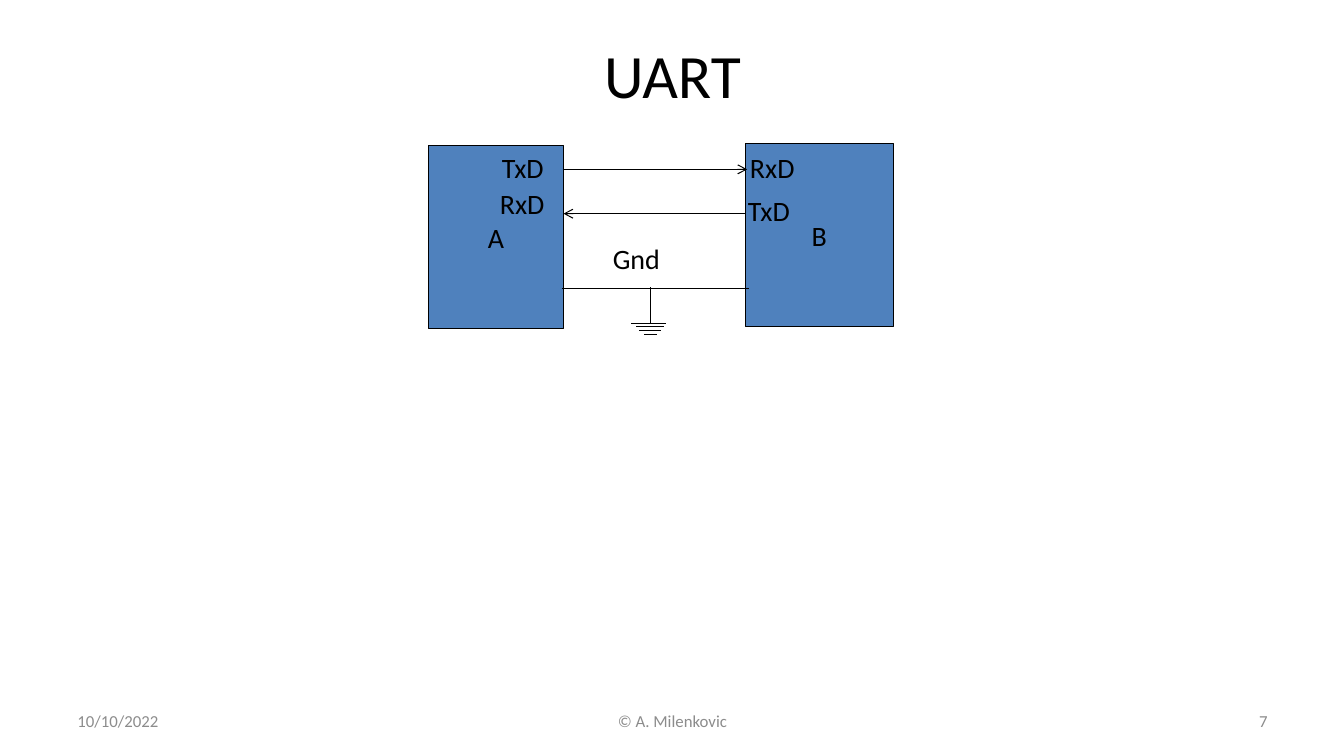
from dataclasses import dataclass

from lxml import etree
from pptx import Presentation
from pptx.dml.color import RGBColor
from pptx.enum.shapes import MSO_CONNECTOR, MSO_SHAPE
from pptx.enum.text import MSO_ANCHOR, PP_ALIGN
from pptx.oxml.ns import qn
from pptx.slide import Slide
from pptx.text.text import TextFrame
from pptx.util import Inches, Pt

BLACK = RGBColor(0x00, 0x00, 0x00)
GRAY = RGBColor(0x8C, 0x8C, 0x8C)
BLUE = RGBColor(0x4F, 0x81, 0xBD)
LEFT, CENTER, RIGHT = PP_ALIGN.LEFT, PP_ALIGN.CENTER, PP_ALIGN.RIGHT
TOP, MIDDLE = MSO_ANCHOR.TOP, MSO_ANCHOR.MIDDLE
RECTANGLE = MSO_SHAPE.RECTANGLE
STRAIGHT = MSO_CONNECTOR.STRAIGHT
FONT = "Calibri"
LINE_WIDTH = Pt(0.75)


@dataclass
class Label:
    text: str
    left: float
    top: float
    width: float = 0.9
    height: float = 0.44
    size: int = 20
    color: RGBColor = BLACK
    align: PP_ALIGN = LEFT
    anchor: MSO_ANCHOR = TOP


@dataclass
class Device:
    name: str
    left: float
    top: float
    width: float
    height: float = 1.82


@dataclass
class Wire:
    x1: float
    y1: float
    x2: float
    y2: float
    arrow: bool = False


def write(frame: TextFrame, text: str, size: int, color: RGBColor,
          align: PP_ALIGN, anchor: MSO_ANCHOR) -> None:
    frame.vertical_anchor = anchor
    para = frame.paragraphs[0]
    para.text = text
    para.alignment = align
    para.font.name = FONT
    para.font.size = Pt(size)
    para.font.color.rgb = color


def add_label(page: Slide, label: Label) -> None:
    box = page.shapes.add_textbox(Inches(label.left), Inches(label.top),
                                  Inches(label.width), Inches(label.height))
    box.text_frame.word_wrap = True
    write(box.text_frame, label.text, label.size, label.color,
          label.align, label.anchor)


def add_device(page: Slide, device: Device) -> None:
    box = page.shapes.add_shape(RECTANGLE, Inches(device.left), Inches(device.top),
                                Inches(device.width), Inches(device.height))
    box.shadow.inherit = False
    box.fill.solid()
    box.fill.fore_color.rgb = BLUE
    box.line.color.rgb = BLACK
    box.line.width = LINE_WIDTH
    box.text_frame.word_wrap = False
    write(box.text_frame, device.name, 20, BLACK, CENTER, MIDDLE)


def add_wire(page: Slide, wire: Wire) -> None:
    line = page.shapes.add_connector(STRAIGHT, Inches(wire.x1), Inches(wire.y1),
                                     Inches(wire.x2), Inches(wire.y2))
    line.line.color.rgb = BLACK
    line.line.width = LINE_WIDTH
    properties = line._element.spPr
    if wire.arrow:
        outline = properties.find(qn("a:ln"))
        etree.SubElement(outline, qn("a:tailEnd"), type="arrow")
    etree.SubElement(properties, qn("a:effectLst"))


HEADINGS = [
    Label("UART", 0.67, 0.3, 12, 0.87, 44, BLACK, CENTER, MIDDLE),
    Label("10/10/2022", 0.67, 6.95, 3.11, 0.4, 12, GRAY, LEFT, MIDDLE),
    Label("© A. Milenkovic", 4.56, 6.95, 4.22, 0.4, 12, GRAY, CENTER, MIDDLE),
    Label("7", 9.56, 6.95, 3.11, 0.4, 12, GRAY, RIGHT, MIDDLE),
]
DEVICES = [Device("A", 4.25, 1.44, 1.34), Device("B", 7.39, 1.42, 1.47)]
WIRES = [
    # Data lines
    Wire(5.58, 1.68, 7.41, 1.68, arrow=True),
    Wire(7.4, 2.12, 5.59, 2.12, arrow=True),
    # Common ground and its symbol
    Wire(5.57, 2.86, 7.43, 2.86),
    Wire(6.45, 2.85, 6.45, 3.2),
    Wire(6.26, 3.21, 6.61, 3.21),
    Wire(6.31, 3.24, 6.59, 3.24),
    Wire(6.34, 3.28, 6.56, 3.28),
    Wire(6.39, 3.32, 6.52, 3.32),
]
PINS = [
    Label("RxD", 7.34, 1.44),
    Label("RxD", 4.86, 1.8),
    Label("TxD", 4.88, 1.44),
    Label("TxD", 7.32, 1.87),
    Label("Gnd", 5.98, 2.35),
]


def main() -> None:
    deck = Presentation()
    deck.slide_width, deck.slide_height = Inches(13.33), Inches(7.5)
    page = deck.slides.add_slide(deck.slide_layouts[6])

    # Title and footer
    for heading in HEADINGS:
        add_label(page, heading)

    # Wiring diagram
    for device in DEVICES:
        add_device(page, device)
    for wire in WIRES:
        add_wire(page, wire)
    for pin in PINS:
        add_label(page, pin)

    deck.save("out.pptx")


if __name__ == "__main__":
    main()
